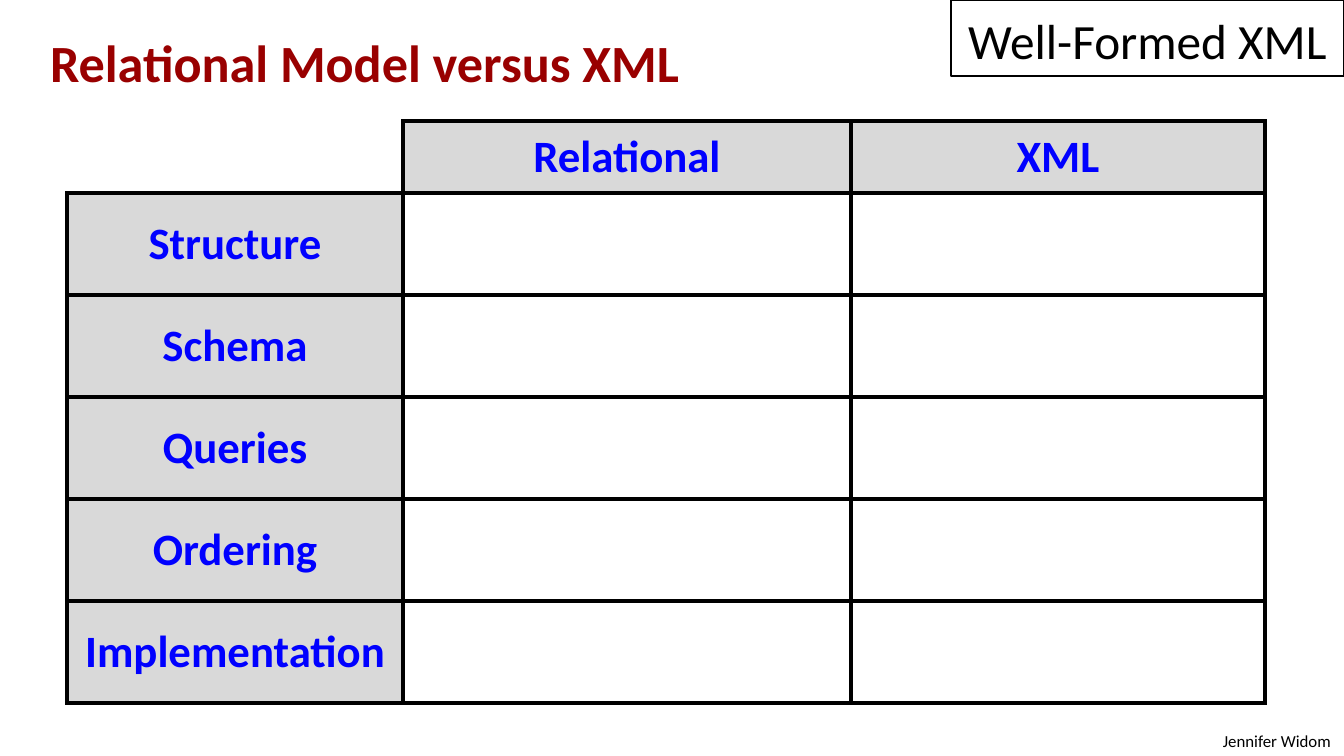
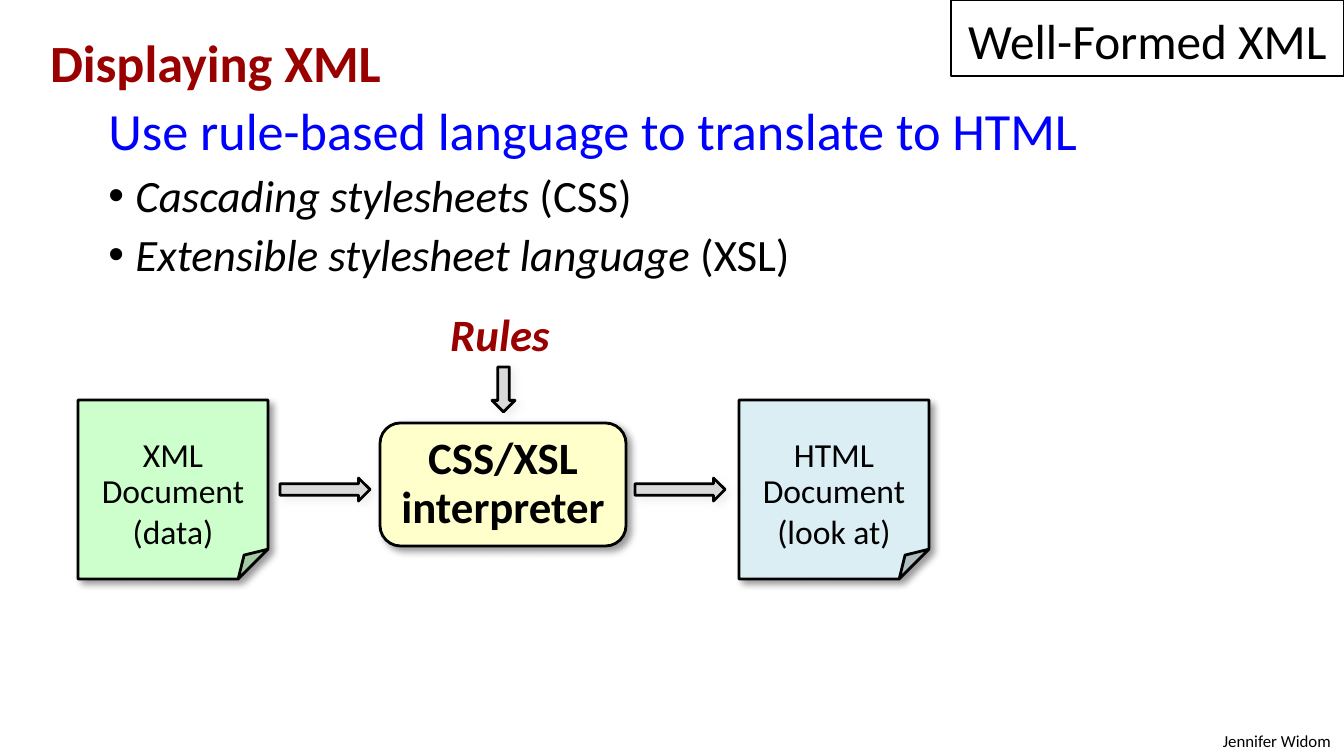
from lxml import etree
from pptx import Presentation
from pptx.dml.color import RGBColor
from pptx.enum import shapes, text
from pptx.oxml.ns import qn
from pptx import util as u

PX = 9144000 / 1344
BLACK, RED, BLUE, GREY = "000000", "990000", "0000FF", "D9D9D9"
YELLOW, GREEN, PALE_BLUE = "FFFFCC", "CCFFCC", "DBEEF4"
LEFT, CENTER, RIGHT = text.PP_ALIGN.LEFT, text.PP_ALIGN.CENTER, text.PP_ALIGN.RIGHT
TOP, MIDDLE, BOTTOM = (text.MSO_ANCHOR.TOP, text.MSO_ANCHOR.MIDDLE,
                       text.MSO_ANCHOR.BOTTOM)
SHAPE = shapes.MSO_SHAPE


def px(length):
    return u.Emu(round(length * PX))


def color(value):
    return RGBColor.from_string(value)


def child(parent, tag, **attributes):
    element = etree.SubElement(parent, qn(tag))
    for name, value in attributes.items():
        element.set(name, str(value))
    return element


def apply(target, values):
    for name, value in values.items():
        setattr(target, name, value)


def place(shape, box):
    apply(shape, dict(zip(("left", "top", "width", "height"), map(px, box))))


def add_span(para, words, size, fill=BLACK, **styles):
    span = para.add_run()
    span.text = words
    apply(span.font, {"name": "Calibri", "size": u.Pt(size), "bold": False,
                      "italic": False, **styles})
    span.font.color.rgb = color(fill)


def write(frame, lines, size, fill=BLACK, align=LEFT, anchor=TOP, wrap=True,
          spacing=1.0, **styles):
    """Fill a text frame with one plain paragraph per line."""
    apply(frame, {"word_wrap": wrap, "vertical_anchor": anchor,
                  "auto_size": text.MSO_AUTO_SIZE.NONE})
    for index, line in enumerate(lines):
        para = frame.add_paragraph() if index else frame.paragraphs[0]
        apply(para, {"alignment": align, "line_spacing": spacing})
        add_span(para, line, size, fill, **styles)


def add_label(page, box, words, size, **styles):
    label = page.shapes.add_textbox(*map(px, box))
    write(label.text_frame, [words], size, **styles)
    return label


def add_block(page, kind, box, fill=None, line_width=1.5, shadow=None):
    block = page.shapes.add_shape(kind, *map(px, box))
    if fill:
        block.fill.solid()
        block.fill.fore_color.rgb = color(fill)
    else:
        block.fill.background()
    block.line.color.rgb = color(BLACK)
    block.line.width = u.Pt(line_width)
    block.shadow.inherit = False
    if shadow:
        effects = block.element.spPr.find(qn("a:effectLst"))
        outer = child(effects, "a:outerShdw", blurRad=u.Pt(4), dist=u.Pt(3),
                      dir=45 * 60000, algn="tl", rotWithShape=0)
        child(child(outer, "a:srgbClr", val=shadow), "a:alpha", val=40000)
    return block


def add_master_footer(deck, page):
    footer = add_label(page, (1199, 724, 145, 34), "Jennifer Widom", 9, align=RIGHT)
    footer.element.nvSpPr.cNvPr.set("id", "20")
    deck.slide_master.shapes.element.append(footer.element)


def add_page(deck, layout, title):
    page = deck.slides.add_slide(deck.slide_layouts.get_by_name(layout))
    heading = page.shapes.title
    place(heading, (23, 31, 1220, 78))
    write(heading.text_frame, [title], 28, RED, spacing=0.9, bold=True)
    heading.text_frame.margin_left = px(27)
    tag = add_block(page, SHAPE.RECTANGLE, (951, 0, 393, 76), line_width=0.75)
    write(tag.text_frame, ["Well-Formed XML"], 26.4, align=CENTER, anchor=BOTTOM)
    return page


def add_borders(cell, sides):
    properties = cell._tc.get_or_add_tcPr()
    for side in "LRTB":
        if side in sides:
            line = child(properties, f"a:ln{side}", w=u.Pt(2.25))
            child(child(line, "a:solidFill"), "a:srgbClr", val=BLACK)
        else:
            child(child(properties, f"a:ln{side}", w=0), "a:noFill")


def add_comparison(page, left, top, columns, rows):
    """Draw an empty grid with grey headings along its top and left."""
    widths, heights = (336, 448, 414), [72] + [102] * len(rows)
    frame = page.shapes.add_table(len(heights), len(widths), px(left), px(top),
                                  px(sum(widths)), px(sum(heights)))
    table = frame.table
    apply(table, {"first_row": False, "horz_banding": False})
    for column, width in zip(table.columns, widths):
        column.width = px(width)
    for row, height in zip(table.rows, heights):
        row.height = px(height)
    grid = [["", *columns]] + [[name, "", ""] for name in rows]
    for r, names in enumerate(grid):
        for c, name in enumerate(names):
            cell = table.cell(r, c)
            add_borders(cell, "LRTB" if r or c else "RB")
            if not name:
                cell.fill.background()
                continue
            cell.fill.solid()
            cell.fill.fore_color.rgb = color(GREY)
            cell.vertical_anchor = MIDDLE
            para = cell.text_frame.paragraphs[0]
            para.alignment = CENTER
            add_span(para, name, 24, BLUE, bold=True)


def add_list(page, box, lead, items):
    """Write a blue lead line, then bullets that start with an italic term."""
    body = page.placeholders[1]
    place(body, box)
    frame = body.text_frame
    write(frame, [lead], 28, BLUE)
    for term, short in items:
        para = frame.add_paragraph()
        add_span(para, term, 24, italic=True)
        add_span(para, f" ({short})", 24)
    for index, para in enumerate(frame.paragraphs):
        apply(para, {"level": 1, "alignment": LEFT, "line_spacing": 0.9,
                     "space_before": u.Pt(6 if index else 0)})
        properties = para._p.get_or_add_pPr()
        properties.set("marL", str(px(99)))
        properties.set("indent", str(-px(27)))
        if index:
            child(child(properties, "a:buClr"), "a:srgbClr", val=BLACK)
            child(properties, "a:buFont", typeface="Arial")
            child(properties, "a:buChar", char="•")
        else:
            child(properties, "a:buNone")


def add_document(page, box, fill, lines):
    sheet = add_block(page, SHAPE.FOLDED_CORNER, box, fill, shadow=BLACK)
    write(sheet.text_frame, lines, 18, align=CENTER, anchor=MIDDLE, spacing=0.9)
    sheet.text_frame.paragraphs[-1].line_spacing = 1.0
    apply(sheet.text_frame, {"margin_top": px(41), "margin_bottom": 0})


def add_arrow(page, box, rotation=0):
    arrow = add_block(page, SHAPE.RIGHT_ARROW, box, GREY, shadow=GREY)
    arrow.rotation = rotation


def add_flow(page, left, top):
    """Draw data, interpreter and result from left to right, rules above."""
    interpreter = add_block(page, SHAPE.ROUNDED_RECTANGLE,
                            (left + 302, top + 123, 246, 123), YELLOW, shadow=BLACK)
    write(interpreter.text_frame, ["CSS/XSL", "interpreter"], 24, align=CENTER,
          anchor=MIDDLE, spacing=0.9, bold=True)
    documents = ((0, GREEN, "XML", "(data)"), (661, PALE_BLUE, "HTML", "(look at)"))
    for x, fill, name, use in documents:
        add_document(page, (left + x, top + 100, 190, 179), fill,
                     [name, "Document", use])
    for x in (202, 557):
        add_arrow(page, (left + x, top + 178, 90, 23))
    add_arrow(page, (left + 403, top + 78, 45, 23), rotation=90)
    add_label(page, (left + 359, top, 128, 67), "Rules", 24, fill=RED,
              wrap=False, bold=True, italic=True)


def main():
    deck = Presentation()
    apply(deck, {"slide_width": px(1344), "slide_height": px(756)})

    page = add_page(deck, "Title Only", "Relational Model versus XML")
    add_master_footer(deck, page)
    add_comparison(page, 67, 121, ["Relational", "XML"],
                   ["Structure", "Schema", "Queries", "Ordering", "Implementation"])

    page = add_page(deck, "Title and Content", "Displaying XML")
    add_list(page, (23, 99, 1220, 190), "Use rule-based language to translate to HTML",
             [("Cascading stylesheets", "CSS"),
              ("Extensible stylesheet language", "XSL")])
    add_flow(page, 78, 300)
    deck.save("out.pptx")


if __name__ == "__main__":
    main()
